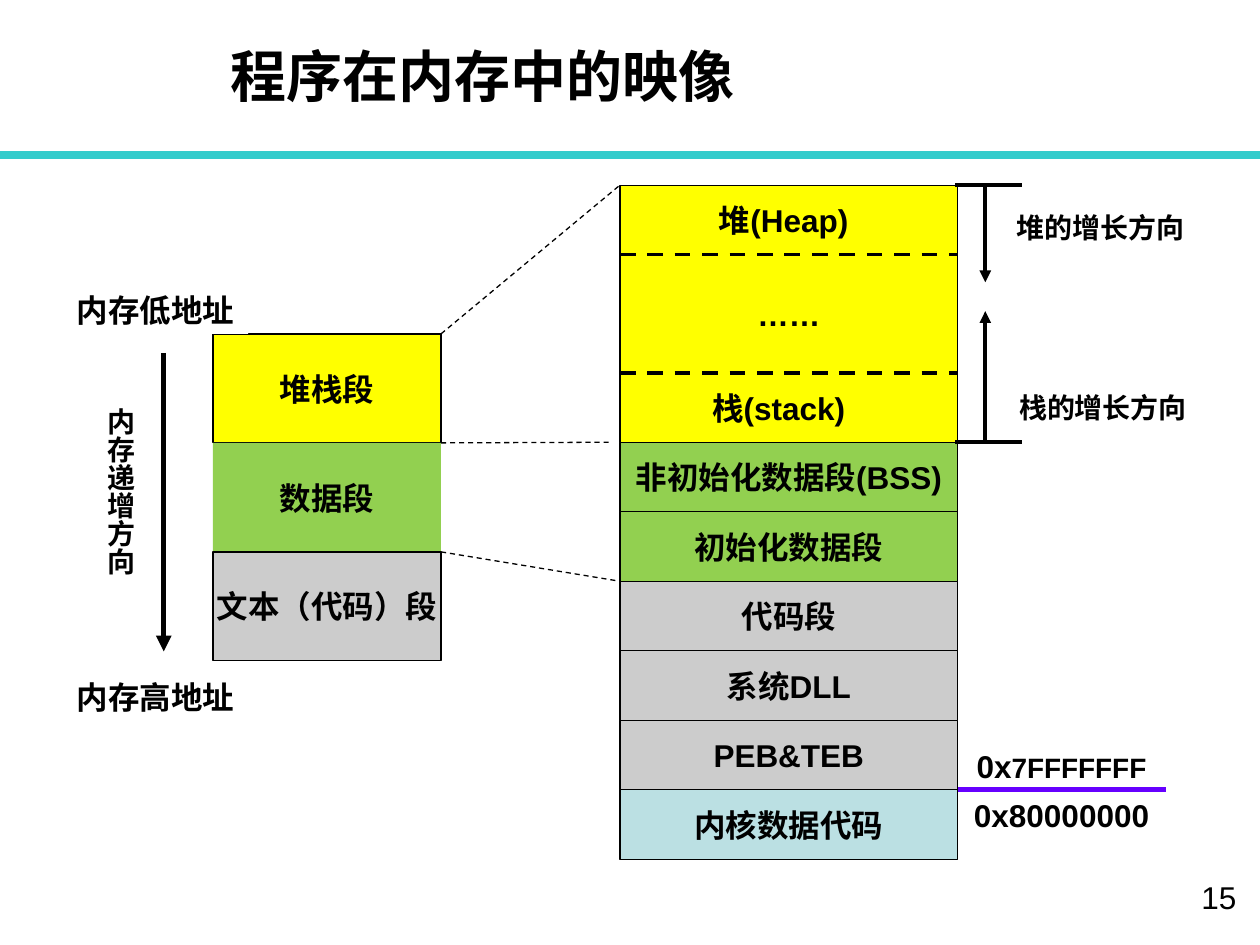
from lxml.etree import SubElement
from pptx import Presentation
from pptx.dml.color import RGBColor
from pptx.enum.dml import MSO_LINE
from pptx.enum.shapes import MSO_CONNECTOR, MSO_SHAPE
from pptx.enum.text import MSO_ANCHOR, PP_ALIGN
from pptx.oxml.ns import qn
from pptx.util import Inches, Pt

COLORS = {
    "black": "000000", "white": "FFFFFF", "teal": "33CCCC", "violet": "6600FF",
    "stack": "FFFF00", "data": "92D050", "code": "CCCCCC", "kernel": "BBE0E3",
}
SERIF = "Times New Roman"
LEFT_X, LEFT_WIDTH, LEFT_TOP, LEFT_PITCH = 1.69, 1.81, 2.65, 0.865
MAP_X, MAP_WIDTH, MAP_TOP = 4.92, 2.68, 1.47
DATA_TOP, MAP_BOTTOM = 3.51, 6.82
ROWS = [
    ("非初始化数据段(BSS)", "data"), ("初始化数据段", "data"),
    ("代码段", "code"), ("系统DLL", "code"), ("PEB&TEB", "code"),
    ("内核数据代码", "kernel"),
]
ROW_HEIGHT = (MAP_BOTTOM - DATA_TOP) / len(ROWS)
KERNEL_TOP = MAP_BOTTOM - ROW_HEIGHT


def color(name):
    return RGBColor.from_string(COLORS[name])


def write(shape, runs, align, font="Arial", bold=True, wrap=True,
          anchor=MSO_ANCHOR.TOP):
    """Fill a shape with one paragraph of (text, size) runs."""
    frame = shape.text_frame
    frame.word_wrap = wrap
    frame.vertical_anchor = anchor
    paragraph = frame.paragraphs[0]
    paragraph.alignment = align
    for text, size in runs:
        run = paragraph.add_run()
        run.text = text
        for name, value in {"size": Pt(size), "name": font, "bold": bold}.items():
            setattr(run.font, name, value)
        run.font.color.rgb = color("black")


def add_text(slide, box, runs, align=PP_ALIGN.CENTER, **style):
    shape = slide.shapes.add_textbox(*map(Inches, box))
    write(shape, runs, align, **style)
    return shape


def add_box(slide, box, fill, outlined=True):
    shape = slide.shapes.add_shape(MSO_SHAPE.RECTANGLE, *map(Inches, box))
    shape.shadow.inherit = False
    shape.fill.solid()
    shape.fill.fore_color.rgb = color(fill)
    if outlined:
        shape.line.color.rgb = color("black")
        shape.line.width = Pt(0.75)
    else:
        shape.line.fill.background()
    return shape


def add_segment(slide, box, text, fill, outlined=True):
    shape = add_box(slide, box, fill, outlined)
    write(shape, [(text, 18)], PP_ALIGN.CENTER, wrap=False,
          anchor=MSO_ANCHOR.MIDDLE)


def add_line(slide, start, end, width, stroke="black", dashed=False, arrow=False):
    line = slide.shapes.add_connector(
        MSO_CONNECTOR.STRAIGHT, *map(Inches, (*start, *end)))
    line.line.color.rgb = color(stroke)
    line.line.width = Pt(width)
    if dashed:
        line.line.dash_style = MSO_LINE.DASH
    properties = line._element.spPr
    if arrow:
        SubElement(properties.find(qn("a:ln")), qn("a:tailEnd"), type="triangle")
    SubElement(properties, qn("a:effectLst"))


def add_frame(slide):
    add_line(slide, (0, 1.23), (10, 1.23), 5, "teal")
    add_text(slide, (7.83, 6.92, 2.08, 0.5), [("15", 18)], PP_ALIGN.RIGHT, bold=False)
    title = slide.shapes.title
    title.left, title.top, title.width, title.height = map(
        Inches, (1.83, 0.33, 8.25, 0.54))
    for side in ("left", "top", "right", "bottom"):
        setattr(title.text_frame, f"margin_{side}", 0)
    write(title, [("程序在内存中的映像", 32)], PP_ALIGN.LEFT, anchor=MSO_ANCHOR.MIDDLE)


def add_program_segments(slide):
    segments = [("堆栈段", "stack"), ("数据段", "data"), ("文本（代码）段", "code")]
    for index, (text, fill) in enumerate(segments):
        box = (LEFT_X, LEFT_TOP + index * LEFT_PITCH, LEFT_WIDTH, LEFT_PITCH)
        add_segment(slide, box, text, fill, outlined=fill != "data")


def add_address_axis(slide):
    for top, text in ((2.26, "内存低地址"), (5.33, "内存高地址")):
        label = add_box(slide, (0.51, top, 1.46, 0.39), "white", outlined=False)
        write(label, [(text, 18)], PP_ALIGN.JUSTIFY, font=SERIF)
    add_line(slide, (1.3, 2.8), (1.3, 5.17), 3, arrow=True)
    label = add_box(slide, (0.61, 3.14, 0.53, 1.95), "white", outlined=False)
    write(label, [("内存递增方向", 16)], PP_ALIGN.CENTER, font=SERIF)
    frame = label.text_frame
    frame.margin_left = frame.margin_right = Inches(0.05)
    frame.margin_top = frame.margin_bottom = Inches(0.1)
    frame._txBody.bodyPr.set("vert", "eaVert")


def add_stack_area(slide):
    add_segment(slide, (MAP_X, MAP_TOP, MAP_WIDTH, DATA_TOP - MAP_TOP), "……", "stack")
    for box, text in (((4.92, 1.39, 2.6, 0.71), "堆(Heap)"),
                      ((4.84, 2.88, 2.68, 0.71), "栈(stack)")):
        add_text(slide, box, [(text, 18)], wrap=False, anchor=MSO_ANCHOR.MIDDLE)
    for y in (2.02, 2.96):
        add_line(slide, (MAP_X, y), (MAP_X + MAP_WIDTH, y), 2.25, dashed=True)


def add_growth(slide, start, end, label_box, text):
    add_line(slide, (7.58, start), (8.11, start), 2.25)
    add_line(slide, (7.82, start), (7.82, end), 2.25, arrow=True)
    add_text(slide, label_box, [(text, 16)], PP_ALIGN.JUSTIFY, font=SERIF)


def add_memory_rows(slide):
    add_line(slide, (9.25, KERNEL_TOP), (MAP_X, KERNEL_TOP), 3, "violet")
    for index, (text, fill) in enumerate(ROWS):
        box = (MAP_X, DATA_TOP + index * ROW_HEIGHT, MAP_WIDTH, ROW_HEIGHT)
        add_segment(slide, box, text, fill)
    add_text(slide, (7.36, 5.88, 2.13, 0.4), [("0x", 18), ("7FFFFFFF", 16)])
    add_text(slide, (7.44, 6.27, 1.97, 0.4), [("0x80000000", 18)])


def add_expansion_lines(slide):
    right = LEFT_X + LEFT_WIDTH
    ends = [(MAP_X, MAP_TOP), (4.84, DATA_TOP), (MAP_X, DATA_TOP + 2 * ROW_HEIGHT)]
    for index, end in enumerate(ends):
        start = (right, LEFT_TOP + index * LEFT_PITCH)
        add_line(slide, start, end, 0.75, dashed=True)


def main():
    presentation = Presentation()
    presentation.slide_width, presentation.slide_height = Inches(10), Inches(7.5)
    slide = presentation.slides.add_slide(presentation.slide_layouts[5])
    add_frame(slide)
    add_program_segments(slide)
    add_address_axis(slide)
    add_stack_area(slide)
    add_memory_rows(slide)
    add_growth(slide, MAP_TOP, 2.24, (7.97, 1.62, 1.6, 0.39), "堆的增长方向")
    add_growth(slide, DATA_TOP, 2.47, (7.99, 3.05, 1.59, 0.39), "栈的增长方向")
    add_expansion_lines(slide)
    presentation.save("out.pptx")


if __name__ == "__main__":
    main()
